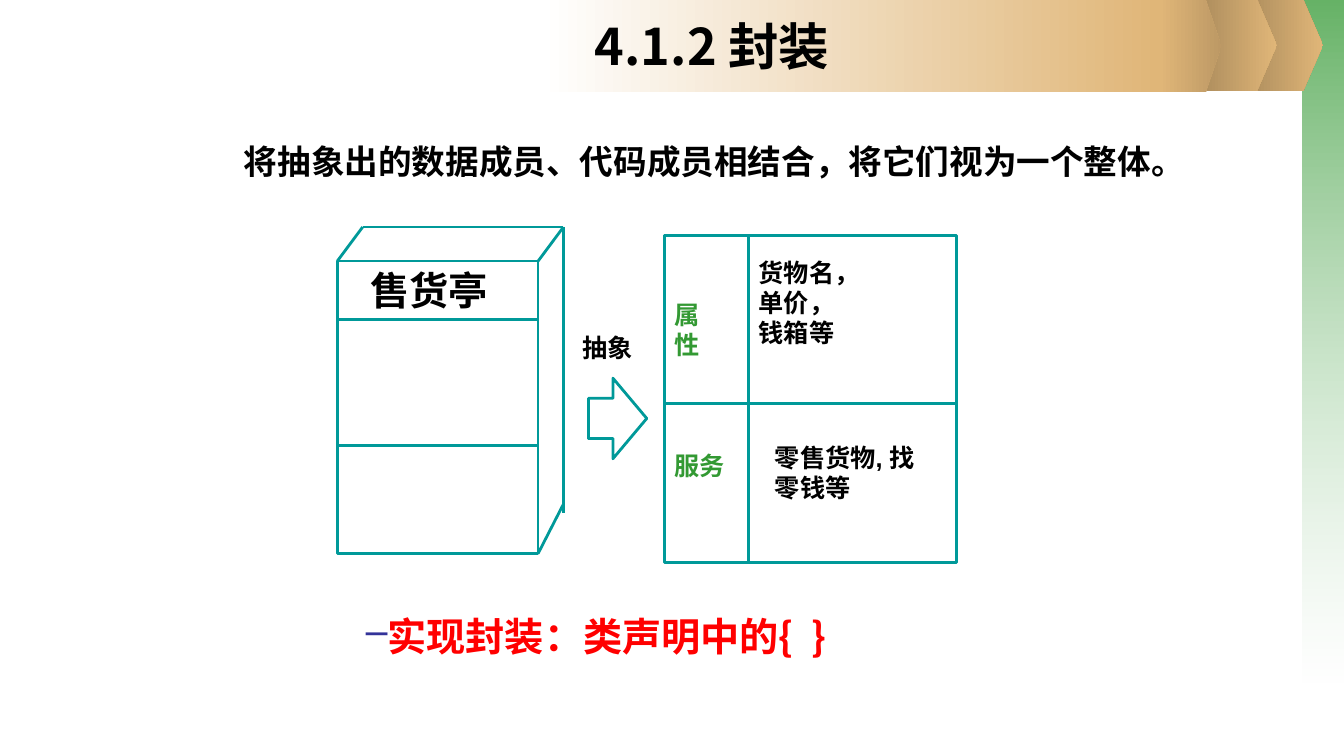
from pptx import Presentation
from pptx.dml.color import RGBColor
from pptx.enum.shapes import MSO_CONNECTOR as Link, MSO_SHAPE as Kind
from pptx.enum.text import MSO_ANCHOR as Anchor, MSO_AUTO_SIZE as Auto, PP_ALIGN as Align
from pptx.oxml.ns import qn
from pptx.util import Cm, Pt
from lxml.etree import SubElement

# Content: lengths in cm
SANS = "Noto Sans CJK SC"
BLACK, GREEN, TEAL, RED, BLUE = "000000", "339933", "009999", "FF0000", "333399"
TITLE = "4.1.2 封装"
INTRO = "将抽象出的数据成员、代码成员相结合，将它们视为一个整体。"
CLOSE = "实现封装：类声明中的{  }"

# Kind, box, two colours, two opacities, angle
BANDS = [
    (Kind.RECTANGLE, (32.82, 0, 1.05, 17.2), (GREEN, "FFFFFF"), (75, 37), 270),
    (Kind.PENTAGON, (31.34, -0.02, 2, 2.32), ("AB8B5C", "E0B678"), (100, 100), 0),
    (Kind.PENTAGON, (30.18, -0.02, 2, 2.32), ("AB8B5C", "E0B678"), (100, 100), 0),
    (Kind.RECTANGLE, (13.62, 0, 15.59, 2.32), ("FFFFFF", "E0B678"), (100, 100), 0),
    (Kind.PENTAGON, (29.21, 0, 1.57, 2.32), ("E0B678", "BD9965"), (100, 100), 0),
]
STALL = (8.5, 6.58, 5.06, 7.37)
SHELVES = (8.05, 11.23)
DEPTH, RISE = 0.64, 0.86
CARD = (16.74, 5.94, 7.37, 8.23)
CARD_ROW, CARD_COL = 10.17, 18.87
ARROW = (14.83, 9.53, 1.47, 2.03)
LABELS = [
    ("售货亭", (9.09, 6.58, 3.63, 1.45), dict(size=28)),
    ("属\n性", (16.74, 7.42, 1.14, 1.78), dict(color=GREEN, wrap=False)),
    ("服务", (16.74, 11.23, 2.21, 1.02), dict(color=GREEN)),
    ("货物名，\n单价，\n钱箱等", (18.87, 6.35, 5.38, 3.33), {}),
    ("零售货物, 找零钱等", (19.28, 11.02, 4.06, 1.78), {}),
    ("抽象", (14.43, 8.26, 1.78, 1.02), dict(wrap=False)),
]

deck = Presentation()
deck.slide_width, deck.slide_height = Cm(33.87), Cm(19.05)
slide = deck.slides.add_slide(deck.slide_layouts[5])
shapes = slide.shapes


def rgb(text):
    return RGBColor.from_string(text)


def cms(box):
    return [Cm(v) for v in box]


def write(text, box, size=18, color=BLACK, font="Arial", align=Align.LEFT,
          wrap=True, spacing=None, margin=0, indent=0, bullet=None, shape=None):
    """Fill a shape, or a new text box, with one paragraph per line."""
    shape = shape or shapes.add_textbox(*cms(box))
    shape.left, shape.top, shape.width, shape.height = cms(box)
    frame = shape.text_frame
    frame.text = text
    frame.word_wrap = wrap
    frame.auto_size = Auto.NONE
    frame.vertical_anchor = Anchor.TOP
    for para in frame.paragraphs:
        para.alignment = align
        if spacing:
            para.line_spacing = spacing
        props = para._p.get_or_add_pPr()
        props.set("marL", str(Cm(margin)))
        props.set("indent", str(Cm(indent)))
        if bullet:
            tint = SubElement(props, qn("a:buClr"))
            SubElement(tint, qn("a:srgbClr"), val=BLUE)
            SubElement(props, qn("a:buChar"), char=bullet)
        for run in para.runs:
            face = run.font
            face.size, face.bold, face.name = Pt(size), True, font
            face.color.rgb = rgb(color)
            SubElement(run._r.get_or_add_rPr(), qn("a:ea"), typeface=SANS)
    return shape


def outline(kind, box):
    shape = shapes.add_shape(kind, *cms(box))
    shape.shadow.inherit = False
    shape.fill.background()
    shape.line.color.rgb = rgb(TEAL)
    shape.line.width = Pt(2)
    return shape


def band(kind, box, colors, alphas, angle):
    shape = shapes.add_shape(kind, *cms(box))
    shape.shadow.inherit = False
    shape.line.fill.background()
    if kind == Kind.PENTAGON:
        shape.adjustments[0] = 0.25
    shape.fill.gradient()
    shape.fill.gradient_angle = angle
    for stop, color in zip(shape.fill.gradient_stops, colors):
        stop.color.rgb = rgb(color)
    for node, alpha in zip(shape._element.spPr.iter(qn("a:srgbClr")), alphas):
        if alpha < 100:
            SubElement(node, qn("a:alpha"), val=str(alpha * 1000))


def line(*ends):
    link = shapes.add_connector(Link.STRAIGHT, *cms(ends))
    link.line.color.rgb = rgb(TEAL)
    link.line.width = Pt(2)
    SubElement(link._element.spPr, qn("a:effectLst"))


# Header and side bands
for item in BANDS:
    band(*item)

# Title, brought in front of the bands
title = write(TITLE, (8.2, 0.79, 19.48, 1.55), size=36, font=SANS,
              align=Align.CENTER, spacing=0.6, shape=shapes.title)
title._element.getparent().append(title._element)

# Sentences above and below the drawing
write(INTRO, (4.93, 3.38, 25.93, 3.45), size=24, font=SANS, spacing=1.05, indent=0.97)
write(CLOSE, (7.7, 15.06, 14.68, 1.68), size=28, color=RED, font=SANS,
      spacing=1.2, margin=1.27, bullet="–")

# Stall: front, shelves, top and side
left, top, width, height = STALL
right, low = left + width, top + height
back, roof = right + DEPTH, top - RISE
outline(Kind.RECTANGLE, STALL)
for y in SHELVES:
    line(left, y, right, y)
for x in (left, right):
    line(x, top, x + DEPTH, roof)
line(left + DEPTH, roof, back, roof)
line(back, roof, back, 12.93)
line(back, 12.7, right, low)

# Class card: frame, row and column rules
left, top, width, height = CARD
outline(Kind.RECTANGLE, CARD)
line(left, CARD_ROW, left + width, CARD_ROW)
line(CARD_COL, top, CARD_COL, top + height)

# Arrow and labels
arrow = outline(Kind.RIGHT_ARROW, ARROW)
arrow.adjustments[0], arrow.adjustments[1] = 0.5, 0.58
for text, box, style in LABELS:
    write(text, box, **style)

deck.save("out.pptx")
